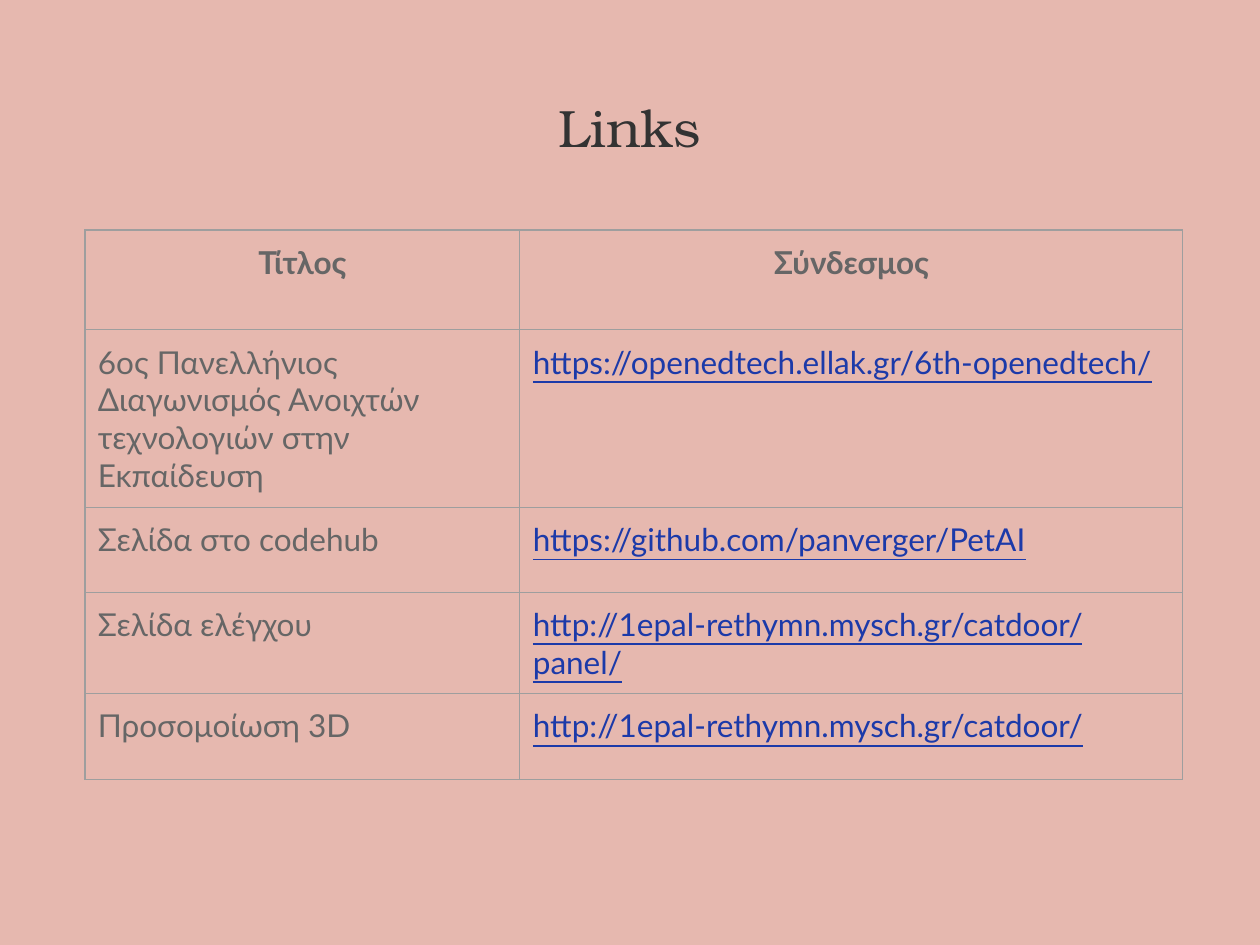
from lxml import etree
from pptx import Presentation
from pptx.dml.color import RGBColor
from pptx.enum.text import MSO_ANCHOR, PP_ALIGN
from pptx.oxml.ns import qn
from pptx.util import Pt

PX = 914400 // 126
TOP = MSO_ANCHOR.TOP
LEFT, CENTER = PP_ALIGN.LEFT, PP_ALIGN.CENTER
PINK = RGBColor(0xE6, 0xB8, 0xAF)
DARK = RGBColor(0x33, 0x33, 0x33)
GRAY = RGBColor(0x66, 0x66, 0x66)
BLUE = RGBColor(0x1C, 0x3A, 0xA9)
RULE = RGBColor(0x9E, 0x9E, 0x9E)
SERIF, SANS = "TeX Gyre Bonum", "Lato"
PAD = 13

COLS = [435, 663]
ROWS = [
    (100, "Τίτλος", "Σύνδεσμος"),
    (177, "6ος Πανελλήνιος Διαγωνισμός Ανοιχτών τεχνολογιών στην Εκπαίδευση",
     "https://openedtech.ellak.gr/6th-openedtech/"),
    (85, "Σελίδα στο codehub", "https://github.com/panverger/PetAI"),
    (101, "Σελίδα ελέγχου", "http://1epal-rethymn.mysch.gr/catdoor/panel/"),
    (86, "Προσομοίωση 3D", "http://1epal-rethymn.mysch.gr/catdoor/"),
]


class Deck:
    def __init__(self, width, height):
        self.prs = Presentation()
        self.prs.slide_width = width * PX
        self.prs.slide_height = height * PX
        self.slide = self.prs.slides.add_slide(self.prs.slide_layouts[6])
        fill = self.slide.background.fill
        fill.solid()
        fill.fore_color.rgb = PINK

    def label(self, frame, text, face, size, color, align, bold=False, line=False):
        """Put styled text into a text frame."""
        frame.text = text
        frame.word_wrap = True
        para = frame.paragraphs[0]
        para.alignment = align
        for run in para.runs:
            font = run.font
            font.name, font.size = face, Pt(size)
            font.bold, font.underline = bold, line
            font.color.rgb = color

    def pad(self, box):
        """Give a cell or a text frame equal margins."""
        box.margin_left = box.margin_right = PAD * PX
        box.margin_top = box.margin_bottom = PAD * PX
        box.vertical_anchor = TOP

    def title(self, text, x, y, w, h):
        box = self.slide.shapes.add_textbox(x * PX, y * PX, w * PX, h * PX)
        self.pad(box.text_frame)
        self.label(box.text_frame, text, SERIF, 30, DARK, CENTER)

    def edge(self, cell):
        """Draw the four borders of a cell."""
        props = cell._tc.get_or_add_tcPr()
        for side in ("a:lnL", "a:lnR", "a:lnT", "a:lnB"):
            line = etree.SubElement(props, qn(side), w=str(Pt(0.75)))
            solid = etree.SubElement(line, qn("a:solidFill"))
            etree.SubElement(solid, qn("a:srgbClr"), val=str(RULE))

    def table(self, x, y, cols, rows):
        high = sum(row[0] for row in rows)
        table = self.slide.shapes.add_table(
            len(rows), len(cols), x * PX, y * PX, sum(cols) * PX, high * PX).table
        table.first_row = table.horz_banding = False
        for col, width in zip(table.columns, cols):
            col.width = width * PX
        for r, (height, *texts) in enumerate(rows):
            table.rows[r].height = height * PX
            head = r == 0
            for c, text in enumerate(texts):
                cell = table.cell(r, c)
                link = c == 1 and not head
                self.pad(cell)
                self.label(cell.text_frame, text, SANS, 18, BLUE if link else GRAY,
                           CENTER if head else LEFT, head, link)
                self.edge(cell)
                cell.fill.background()

    def save(self):
        self.prs.save("out.pptx")


def main():
    deck = Deck(1260, 945)
    deck.title("Links", 43, 82, 1174, 105)
    deck.table(85, 230, COLS, ROWS)
    deck.save()


if __name__ == "__main__":
    main()
